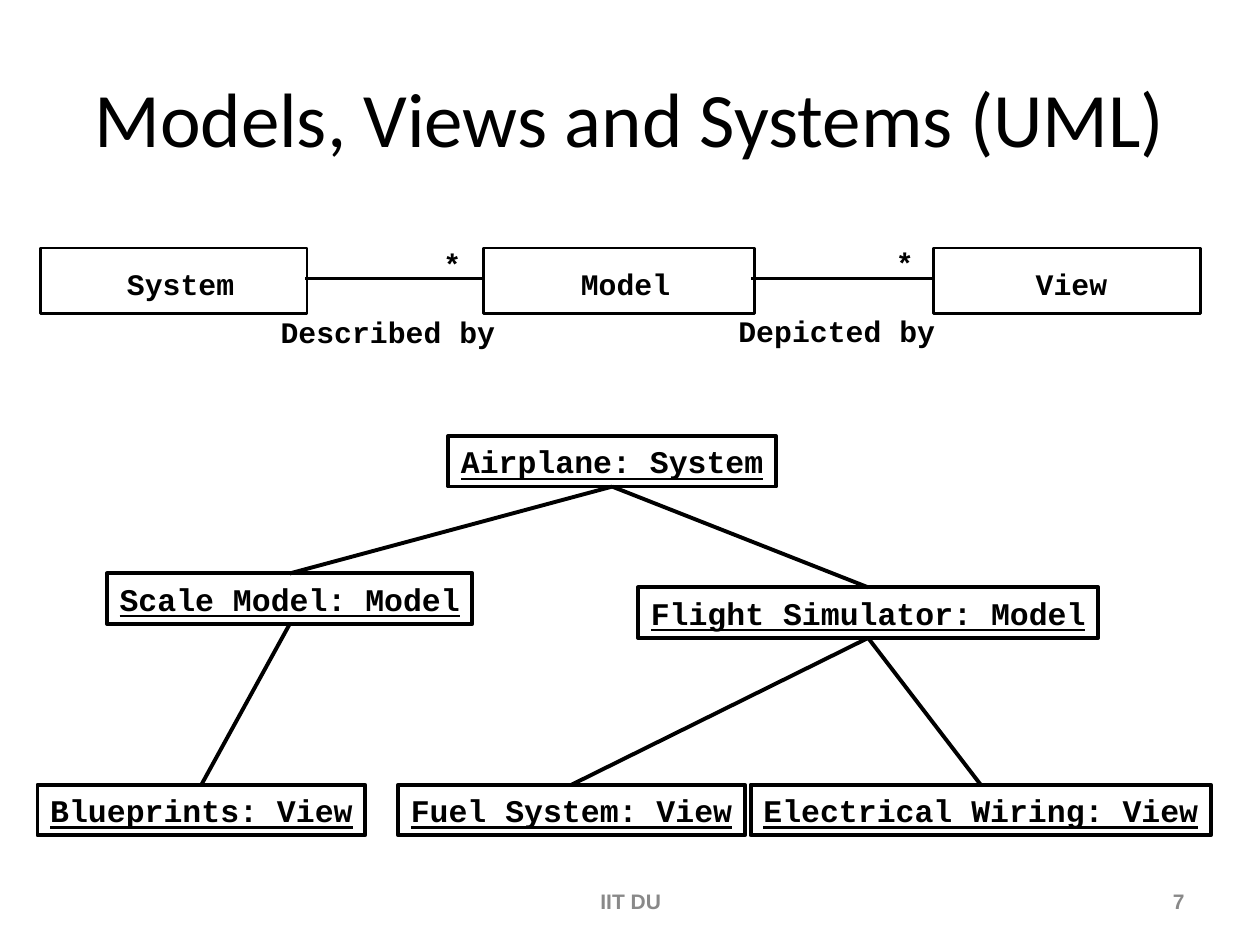
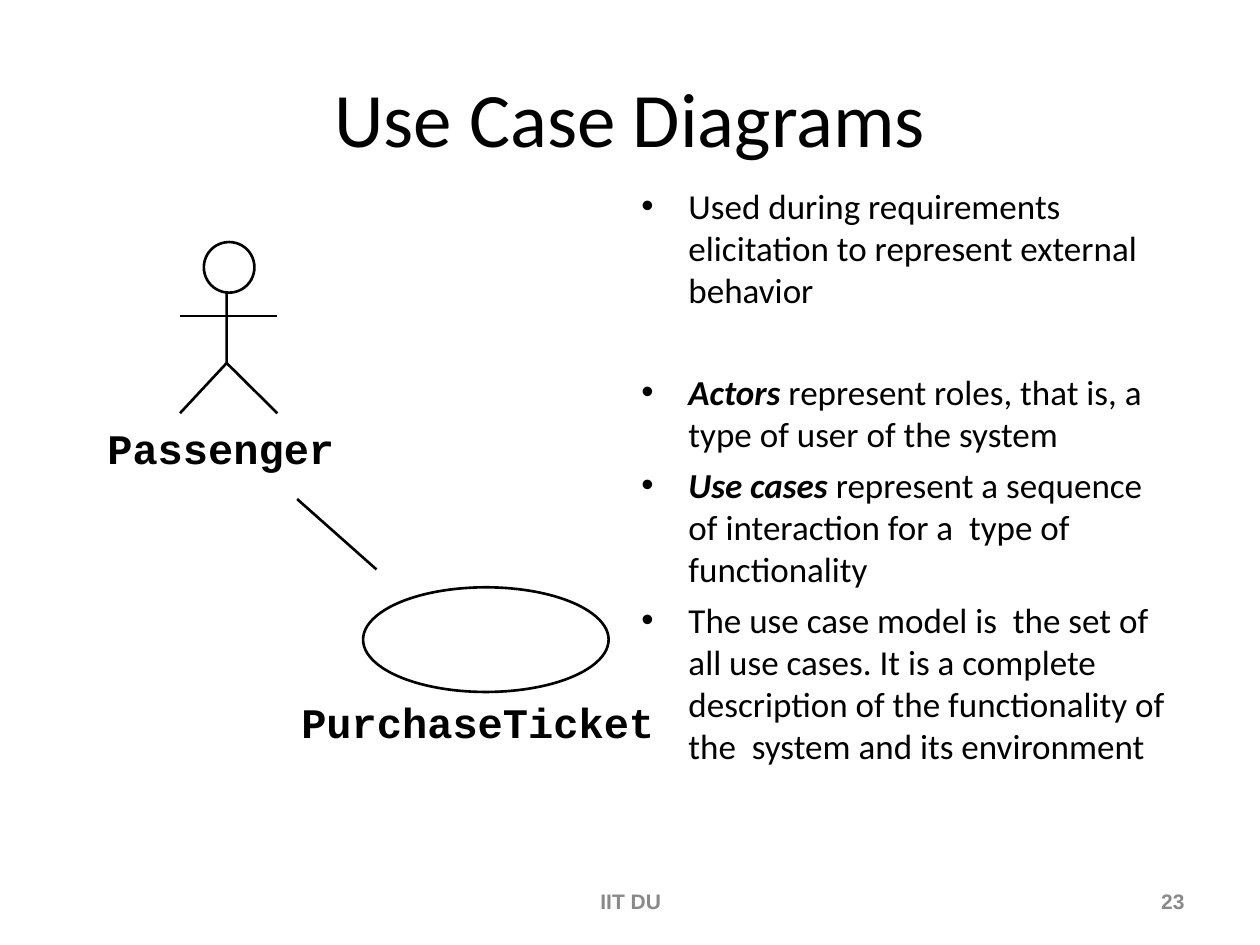
from dataclasses import dataclass
from pptx import Presentation, util as u
from pptx.dml.color import RGBColor
from pptx.enum import shapes, text
from pptx.oxml.ns import qn
from lxml import etree


@dataclass(frozen=True)
class Theme:
    ink: RGBColor = RGBColor(0x00, 0x00, 0x00)
    paper: RGBColor = RGBColor(0xFF, 0xFF, 0xFF)
    grey: RGBColor = RGBColor(0x89, 0x89, 0x89)
    sans: str = "Calibri"
    code: str = "Courier New"
    foot: str = "Arial"
    title_size: int = 44
    body_size: int = 20
    class_size: int = 17
    instance_size: int = 18
    actor_size: int = 24
    foot_size: int = 12
    char_width: float = 0.6 * 2.54 / 72  # Cm per point of a monospaced letter
    slack: float = 0.1  # Cm added so that a label never breaks


T = Theme()
MID, LEFT, RIGHT = text.PP_ALIGN.CENTER, text.PP_ALIGN.LEFT, text.PP_ALIGN.RIGHT
RECT, OVAL = shapes.MSO_SHAPE.RECTANGLE, shapes.MSO_SHAPE.OVAL


def add_item(s, box, label="", font=T.code, size=T.class_size, color=T.ink, bold=True,
             align=MID, inset=(0, 0), wrap=False, middle=False, kind=None, weight=1.5, fill=None):
    """Add a text box, or a preset shape when kind is given."""
    x, y, w, h = [u.Cm(v) for v in box]
    if kind is None:
        sp = s.shapes.add_textbox(x, y, w, h)
    else:
        sp = s.shapes.add_shape(kind, x, y, w, h)
        sp.shadow.inherit = False
        sp.line.color.rgb, sp.line.width = T.ink, u.Pt(weight)
        if fill is None:
            sp.fill.background()
        else:
            sp.fill.solid()
            sp.fill.fore_color.rgb = fill
    tf = sp.text_frame
    tf.word_wrap = wrap
    if label and not wrap:
        tf.auto_size = text.MSO_AUTO_SIZE.SHAPE_TO_FIT_TEXT
    tf.margin_left = tf.margin_right = u.Cm(inset[0])
    tf.margin_top = tf.margin_bottom = u.Cm(inset[1])
    tf.vertical_anchor = text.MSO_ANCHOR.MIDDLE if middle else text.MSO_ANCHOR.TOP
    if label:
        tf.text = label
    for p in tf.paragraphs:
        p.alignment = align
        for r in p.runs:
            r.font.name, r.font.size, r.font.bold = font, u.Pt(size), bold
            r.font.color.rgb = color
    return sp


def add_line(s, x1, y1, x2, y2, weight):
    ln = s.shapes.add_connector(shapes.MSO_CONNECTOR.STRAIGHT, *[u.Cm(v) for v in (x1, y1, x2, y2)])
    ln.line.color.rgb, ln.line.width = T.ink, u.Pt(weight)
    etree.SubElement(ln._element.spPr, qn("a:effectLst"))


prs = Presentation()
prs.slide_width, prs.slide_height = u.Cm(25.4), u.Cm(19.05)

# Title, page number and footer on both slides
slides = []
for title, number in [("Models, Views and Systems (UML)", "7"), ("Use Case Diagrams", "23")]:
    s = prs.slides.add_slide(prs.slide_layouts[6])
    add_item(s, (1.27, 0.76, 22.86, 3.18), title, T.sans, T.title_size, bold=False,
             inset=(0.25, 0.13), wrap=True, middle=True)
    for x, w, label, align in [(18.21, 5.92, number, RIGHT), (8.69, 8.05, "IIT DU", MID)]:
        add_item(s, (x, 17.65, w, 1.02), label, T.foot, T.foot_size, T.grey, align=align,
                 inset=(0.25, 0.13), wrap=True, middle=True)
    slides.append(s)

# Slide 1: class boxes and their associations
s = slides[0]
for x, w in [(0.81, 5.38), (9.75, 5.46), (18.82, 5.38)]:
    add_item(s, (x, 5, w, 1.32), kind=RECT, weight=1.62)
for x1, x2 in [(6.15, 9.75), (15.14, 18.82)]:
    add_line(s, x1, 5.62, x2, 5.62, 1.62)
class_labels = [
    ("System", 3.64, 5.36), ("Model", 12.61, 5.36), ("View", 21.6, 5.36),
    ("*", 9.12, 4.95), ("*", 18.24, 4.93),
    ("Described by", 7.82, 6.32), ("Depicted by", 16.87, 6.3),
]
for label, center, y in class_labels:
    w = len(label) * T.class_size * T.char_width + T.slack
    add_item(s, (center - w / 2, y, w, 0.71), label)

# Slide 1: instance tree, each box as wide as its name
box_h = 1.02
instances = {
    "Airplane: System": (12.34, 8.79),
    "Scale Model: Model": (5.84, 11.56),
    "Flight Simulator: Model": (17.5, 11.84),
    "Blueprints: View": (4.06, 15.82),
    "Fuel System: View": (11.52, 15.82),
    "Electrical Wiring: View": (19.77, 15.82),
}
for name, (center, y) in instances.items():
    w = len(name) * T.instance_size * T.char_width + 0.51
    sp = add_item(s, (center - w / 2, y, w, box_h), name, size=T.instance_size, inset=(0.25, 0.13),
                  middle=True, kind=RECT, weight=2.25, fill=T.paper)
    sp.text_frame.paragraphs[0].runs[0].font.underline = True
links = [
    ("Airplane: System", "Scale Model: Model"),
    ("Airplane: System", "Flight Simulator: Model"),
    ("Scale Model: Model", "Blueprints: View"),
    ("Flight Simulator: Model", "Fuel System: View"),
    ("Flight Simulator: Model", "Electrical Wiring: View"),
]
for parent, child in links:
    (x1, y1), (x2, y2) = instances[parent], instances[child]
    add_line(s, x1, y1 + box_h, x2, y2, 2.25)

# Slide 2: bulleted text, each with its emphasised start and space before
s = slides[1]
bullets = [
    ("", "Used during requirements elicitation to represent external behavior", 5),
    ("Actors", " represent roles, that is, a type of user of the system", 34.4),
    ("Use cases", " represent a sequence of interaction for a  type of functionality", 5),
    ("", "The use case model is  the set of all use cases. It is a complete description "
         "of the functionality of the  system and its environment", 5),
]
sp = add_item(s, (12.68, 3.59, 11.25, 13.67), "\n".join(term + rest for term, rest, gap in bullets),
              T.sans, T.body_size, bold=False, align=LEFT, inset=(0.25, 0.13), wrap=True)
for p, (term, rest, gap) in zip(sp.text_frame.paragraphs, bullets):
    p.space_before = u.Pt(gap)
    pPr = p._p.get_or_add_pPr()
    pPr.set("marL", str(u.Cm(0.95)))
    pPr.set("indent", str(-u.Cm(0.95)))
    etree.SubElement(pPr, qn("a:buFont")).set("typeface", T.foot)
    etree.SubElement(pPr, qn("a:buChar")).set("char", "•")
    if term:
        p.runs[0].text = term
        p.runs[0].font.bold = p.runs[0].font.italic = True
        r = p.add_run()
        r.text = rest
        r.font.name, r.font.size, r.font.color.rgb = T.sans, u.Pt(T.body_size), T.ink

# Slide 2: stick figure
fb = s.shapes.build_freeform(u.Cm(4.57), u.Cm(5.59))
fb.add_line_segments([(u.Cm(4.57), u.Cm(7.32)), (u.Cm(3.63), u.Cm(8.33))], close=False)
body = fb.convert_to_shape()
body.shadow.inherit = False
body.fill.background()
body.line.color.rgb, body.line.width = T.ink, u.Pt(1.5)
add_line(s, 4.57, 7.32, 5.59, 8.33, 1.5)
add_line(s, 3.63, 6.37, 5.59, 6.37, 1.5)
add_item(s, (4.11, 4.88, 1.02, 1.02), kind=OVAL, fill=T.paper)

# Slide 2: use case, its link and the names
add_item(s, (7.32, 11.84, 4.95, 2.11), kind=OVAL)
add_line(s, 5.99, 10.06, 7.59, 11.48, 1.5)
for name, center, y in [("Passenger", 4.45, 8.51), ("PurchaseTicket", 9.63, 14.05)]:
    w = len(name) * T.actor_size * T.char_width + T.slack
    add_item(s, (center - w / 2, y, w, 1.02), name, size=T.actor_size)

prs.save("out.pptx")
